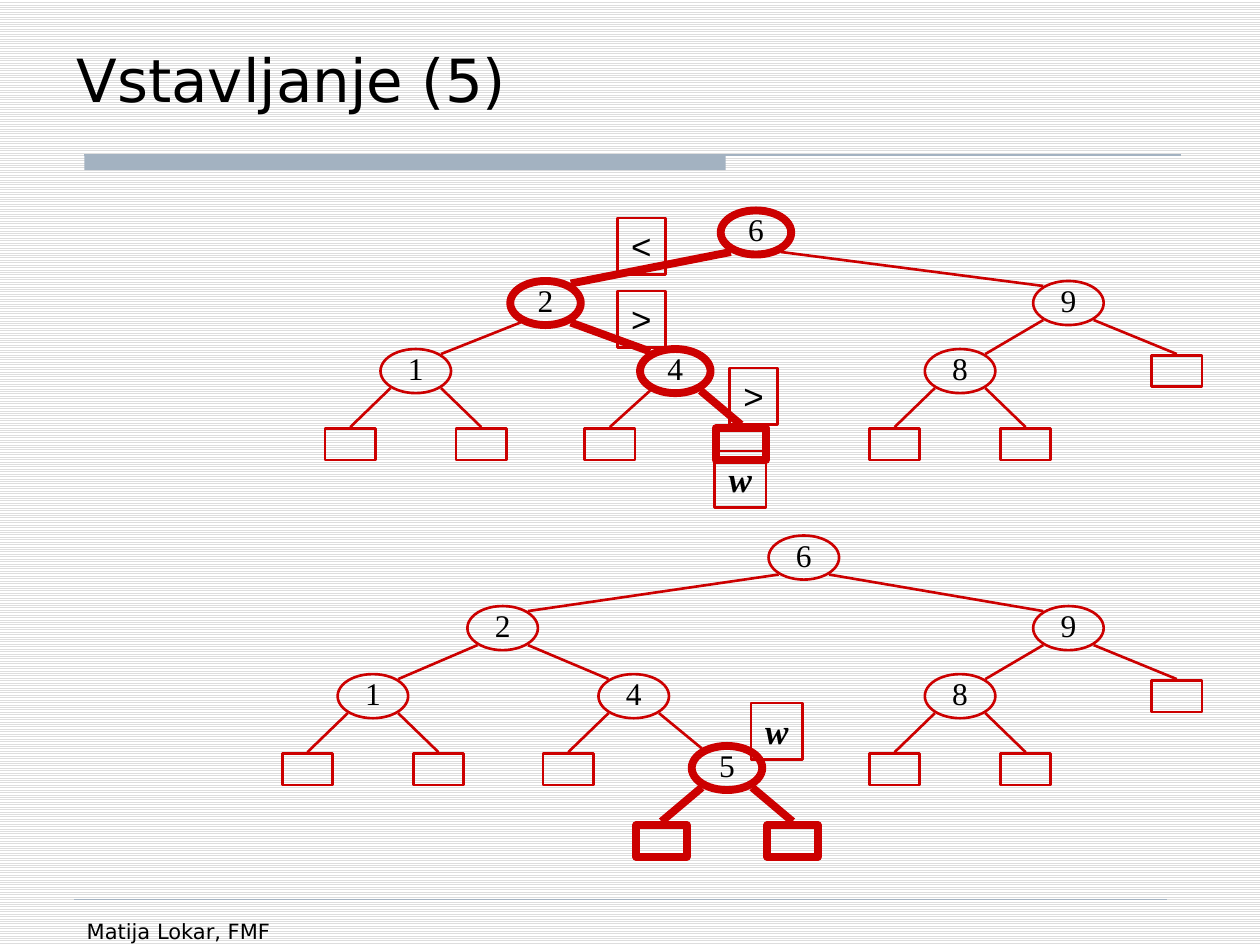
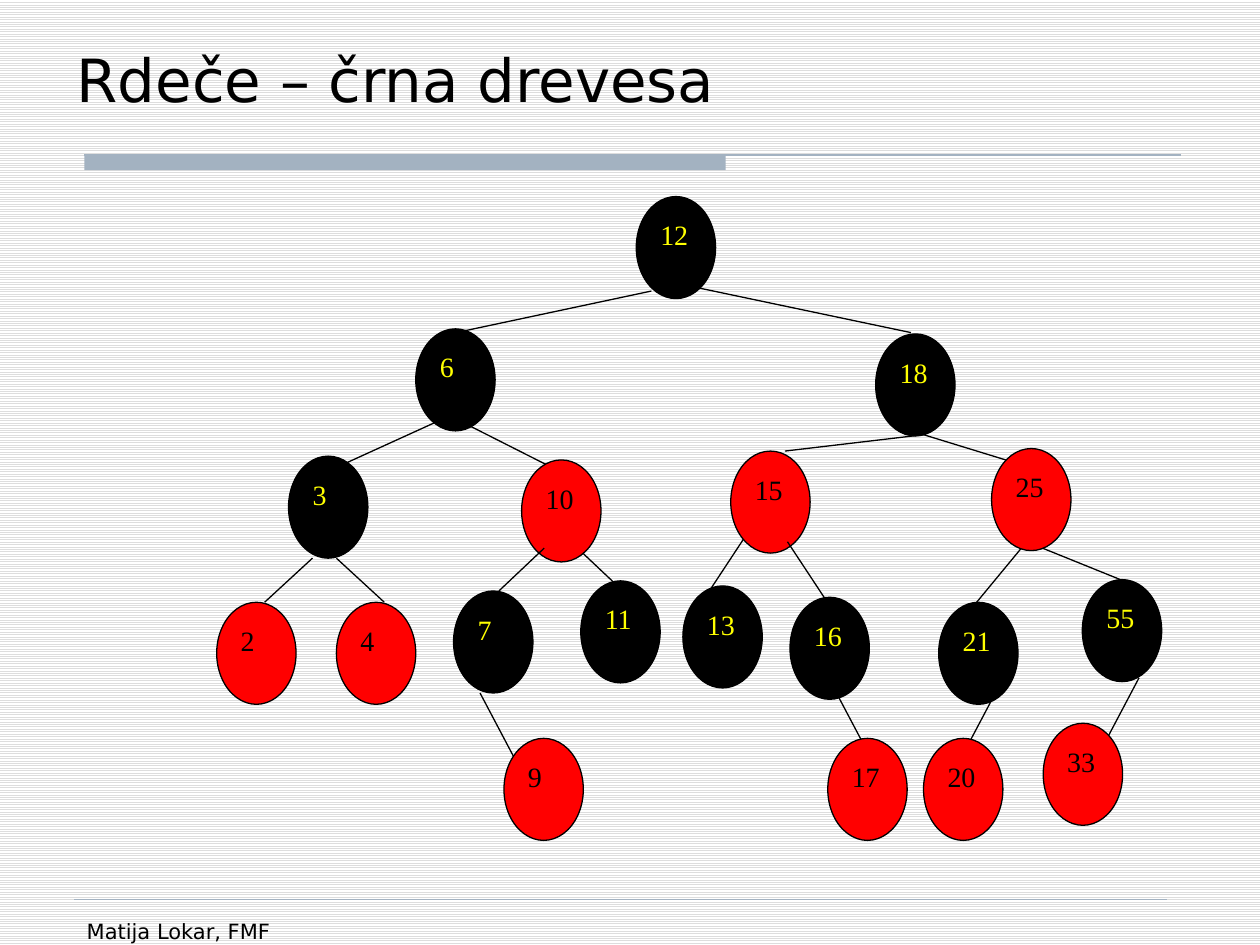
"""Build two slides on binary search tree insertion and red-black trees."""
from dataclasses import dataclass
from typing import NamedTuple, Optional

from lxml import etree
from pptx import Presentation
from pptx import util as u
from pptx.dml import color
from pptx.enum import dml, shapes, text
from pptx.oxml import ns

COLORS = {
    "ink": "000000",
    "paper": "FFFFFF",
    "stripe": "DDDDDD",
    "band": "A3B2C1",
    "outline": "CC0000",
    "red": "FF0000",
    "yellow": "FFFF00",
}
SANS, SERIF, SYMBOL = "DejaVu Sans", "Times New Roman", "Arial"
THIN, THICK = 1.5, 4.5
NODE_WIDTH, NODE_HEIGHT = 0.56, 0.35
LEAF_WIDTH, LEAF_HEIGHT = 0.4, 0.25
LEAF_SPREAD, LEAF_DROP = 0.52, 0.63
EDGE_INSET = 0.2
BALL_WIDTH, BALL_HEIGHT = 0.63, 0.81


@dataclass
class Leaf:
    """An empty external node, placed below its parent unless given a position."""
    position: Optional[tuple[float, float]] = None
    bold: bool = False


@dataclass
class Node:
    """A labelled tree node given by its horizontal centre and its top."""
    label: str
    center: float
    top: float
    left: "Node | Leaf"
    right: "Node | Leaf"
    bold: bool = False


class Tag(NamedTuple):
    """A framed comparison sign or variable name."""
    label: str
    left: float
    top: float
    width: float = 0.38


class Ball(NamedTuple):
    """A node of the red-black tree."""
    label: str
    left: float
    top: float
    fill: str = "ink"


class Edge(NamedTuple):
    """A straight line between two points."""
    x1: float
    y1: float
    x2: float
    y2: float


def right_subtree(top: float) -> Node:
    """Return the subtree of 9, which insertion leaves unchanged."""
    eight = Node("8", 7.62, top + 0.54, Leaf(), Leaf())
    return Node("9", 8.48, top, eight, Leaf((9.34, top + 0.59)))


SEARCH_TREE = Node(
    "6", 6.0, 1.67,
    Node("2", 4.33, 2.23,
         Node("1", 3.3, 2.77, Leaf(), Leaf()),
         Node("4", 5.36, 2.77, Leaf(), Leaf(bold=True), bold=True),
         bold=True),
    right_subtree(2.23),
    bold=True)

RESULT_TREE = Node(
    "6", 6.38, 4.25,
    Node("2", 3.99, 4.81,
         Node("1", 2.96, 5.35, Leaf(), Leaf()),
         Node("4", 5.03, 5.35, Leaf(),
              Node("5", 5.77, 5.92, Leaf(bold=True), Leaf(bold=True), bold=True))),
    right_subtree(4.81))

TAGS = (
    Tag("<", 4.9, 1.73),
    Tag(">", 4.9, 2.31),
    Tag(">", 5.79, 2.92),
    Tag("w", 5.67, 3.58, 0.41),
    Tag("w", 5.96, 5.58, 0.41),
)

BALLS = (
    Ball("12", 5.05, 1.56),
    Ball("6", 3.3, 2.61), Ball("18", 6.95, 2.65),
    Ball("3", 2.29, 3.62), Ball("10", 4.14, 3.65, "red"),
    Ball("15", 5.8, 3.58, "red"), Ball("25", 7.87, 3.56, "red"),
    Ball("2", 1.72, 4.78, "red"), Ball("4", 2.67, 4.78, "red"),
    Ball("7", 3.6, 4.69), Ball("11", 4.61, 4.61),
    Ball("13", 5.42, 4.65), Ball("16", 6.27, 4.74),
    Ball("21", 7.45, 4.78), Ball("55", 8.59, 4.6),
    Ball("9", 4.0, 5.86, "red"), Ball("17", 6.57, 5.86, "red"),
    Ball("20", 7.33, 5.86, "red"), Ball("33", 8.28, 5.74, "red"),
)

EDGES_BEHIND = (
    Edge(5.17, 2.31, 3.62, 2.64), Edge(5.52, 2.28, 7.23, 2.64),
    Edge(3.57, 3.3, 2.67, 3.71), Edge(3.57, 3.3, 4.38, 3.71),
    Edge(7.33, 3.45, 6.23, 3.58), Edge(7.33, 3.45, 8.47, 3.8),
    Edge(2.48, 4.43, 2.1, 4.78), Edge(2.67, 4.43, 3.05, 4.78),
    Edge(4.53, 4.3, 4.89, 4.64), Edge(5.94, 4.22, 5.63, 4.69),
    Edge(8.28, 4.14, 7.71, 4.83), Edge(8.05, 4.26, 9.04, 4.66),
    Edge(3.81, 5.5, 4.19, 6.22), Edge(6.57, 5.37, 6.95, 6.09),
    Edge(7.9, 5.5, 7.52, 6.22), Edge(9.04, 5.38, 8.66, 6.1),
)
EDGES_IN_FRONT = (Edge(4.32, 4.35, 3.96, 4.69), Edge(6.25, 4.3, 6.56, 4.77))


def rgb(name: str) -> color.RGBColor:
    return color.RGBColor.from_string(COLORS[name])


def add_line(slide, edge: Edge, line_color: str, width: float) -> None:
    """Draw a straight line without a shadow."""
    connector = slide.shapes.add_connector(
        shapes.MSO_CONNECTOR.STRAIGHT, *(u.Inches(value) for value in edge))
    connector.line.color.rgb = rgb(line_color)
    connector.line.width = u.Pt(width)
    etree.SubElement(connector._element.spPr, ns.qn("a:effectLst"))


def add_preset(slide, kind, box: tuple, fill: Optional[str],
               line_color: Optional[str], width: float = THIN):
    """Draw a preset shape; no fill or line where the colour is None."""
    shape = slide.shapes.add_shape(kind, *(u.Inches(value) for value in box))
    shape.shadow.inherit = False
    if fill:
        shape.fill.solid()
        shape.fill.fore_color.rgb = rgb(fill)
    else:
        shape.fill.background()
    if line_color:
        shape.line.color.rgb = rgb(line_color)
        shape.line.width = u.Pt(width)
    else:
        shape.line.fill.background()
    return shape


def write(shape, label: str, font: str, size: float, font_color: str = "ink",
          align=text.PP_ALIGN.LEFT, anchor=text.MSO_ANCHOR.TOP,
          wrap: bool = True, emphasis: bool = False) -> None:
    """Put one paragraph of text into a shape."""
    frame = shape.text_frame
    frame.word_wrap = wrap
    frame.vertical_anchor = anchor
    paragraph = frame.paragraphs[0]
    paragraph.text = label
    paragraph.alignment = align
    paragraph.font.name = font
    paragraph.font.size = u.Pt(size)
    paragraph.font.bold = paragraph.font.italic = emphasis
    paragraph.font.color.rgb = rgb(font_color)


def add_text(slide, box: tuple, label: str, size: float,
             anchor=text.MSO_ANCHOR.TOP) -> None:
    shape = slide.shapes.add_textbox(*(u.Inches(value) for value in box))
    write(shape, label, SANS, size, anchor=anchor)


def add_base_slide(presentation, title: str):
    """Add a striped slide with its title, band and footer."""
    slide = presentation.slides.add_slide(presentation.slide_layouts[6])
    background = slide.background.fill
    background.patterned()
    background.pattern = dml.MSO_PATTERN.LIGHT_HORIZONTAL
    background.fore_color.rgb = rgb("stripe")
    background.back_color.rgb = rgb("paper")
    add_preset(slide, shapes.MSO_SHAPE.RECTANGLE, (0.67, 1.23, 5.09, 0.12), "band", None)
    add_line(slide, Edge(0.67, 1.23, 9.37, 1.23), "band", 0.75)
    add_line(slide, Edge(0.59, 7.14, 9.26, 7.14), "band", 0.25)
    add_text(slide, (0.59, 7.24, 2.17, 0.52), "Matija Lokar, FMF", 12)
    add_text(slide, (0.51, 0.21, 8.75, 0.75), title, 34, text.MSO_ANCHOR.BOTTOM)
    return slide


def line_width(bold: bool) -> float:
    return THICK if bold else THIN


def add_leaf(slide, leaf: Leaf, center: float, top: float) -> None:
    box = (center - LEAF_WIDTH / 2, top, LEAF_WIDTH, LEAF_HEIGHT)
    add_preset(slide, shapes.MSO_SHAPE.RECTANGLE, box, None, "outline", line_width(leaf.bold))


def add_tree(slide, node: Node) -> None:
    """Draw a node, its edges and both of its subtrees."""
    outset = 0.02 if node.bold else 0
    for side, child in ((-1, node.left), (1, node.right)):
        child_outset = 0.02 if child.bold else 0
        if isinstance(child, Leaf):
            end_x, top = child.position or (
                node.center + side * LEAF_SPREAD, node.top + LEAF_DROP)
            end_y = top - 0.01 - child_outset
            add_leaf(slide, child, end_x, top)
        else:
            end_x = child.center - side * EDGE_INSET
            end_y = child.top + 0.04 - child_outset
            add_tree(slide, child)
        edge = Edge(node.center + side * EDGE_INSET, node.top + 0.31 + outset, end_x, end_y)
        add_line(slide, edge, "outline", line_width(node.bold and child.bold))
    box = (node.center - NODE_WIDTH / 2, node.top, NODE_WIDTH, NODE_HEIGHT)
    shape = add_preset(slide, shapes.MSO_SHAPE.OVAL, box, None, "outline", line_width(node.bold))
    frame = shape.text_frame
    frame.margin_left = frame.margin_right = frame.margin_top = 0
    frame.margin_bottom = u.Inches(0.05)
    write(shape, node.label, SERIF, 18, align=text.PP_ALIGN.CENTER,
          anchor=text.MSO_ANCHOR.MIDDLE, wrap=False)


def add_tag(slide, tag: Tag) -> None:
    box = (tag.left, tag.top, tag.width, 0.45)
    shape = add_preset(slide, shapes.MSO_SHAPE.RECTANGLE, box, None, "outline")
    is_name = tag.label.isalpha()
    write(shape, tag.label, SERIF if is_name else SYMBOL, 20,
          align=text.PP_ALIGN.CENTER, wrap=False, emphasis=is_name)


def add_ball(slide, ball: Ball) -> None:
    box = (ball.left, ball.top, BALL_WIDTH, BALL_HEIGHT)
    shape = add_preset(slide, shapes.MSO_SHAPE.OVAL, box, ball.fill, "ink", 0.75)
    write(shape, ball.label, SERIF, 16, "yellow" if ball.fill == "ink" else "ink")


def build_insertion(presentation) -> None:
    slide = add_base_slide(presentation, "Vstavljanje (5)")
    for tree in (RESULT_TREE, SEARCH_TREE):
        add_tree(slide, tree)
    for tag in TAGS:
        add_tag(slide, tag)


def build_red_black(presentation) -> None:
    slide = add_base_slide(presentation, "Rdeče – črna drevesa")
    for edge in EDGES_BEHIND:
        add_line(slide, edge, "ink", 0.75)
    for ball in BALLS:
        add_ball(slide, ball)
    for edge in EDGES_IN_FRONT:
        add_line(slide, edge, "ink", 0.75)


def main() -> None:
    presentation = Presentation()
    presentation.slide_width = u.Inches(10)
    presentation.slide_height = u.Inches(7.5)
    build_insertion(presentation)
    build_red_black(presentation)
    presentation.save("out.pptx")


if __name__ == "__main__":
    main()
